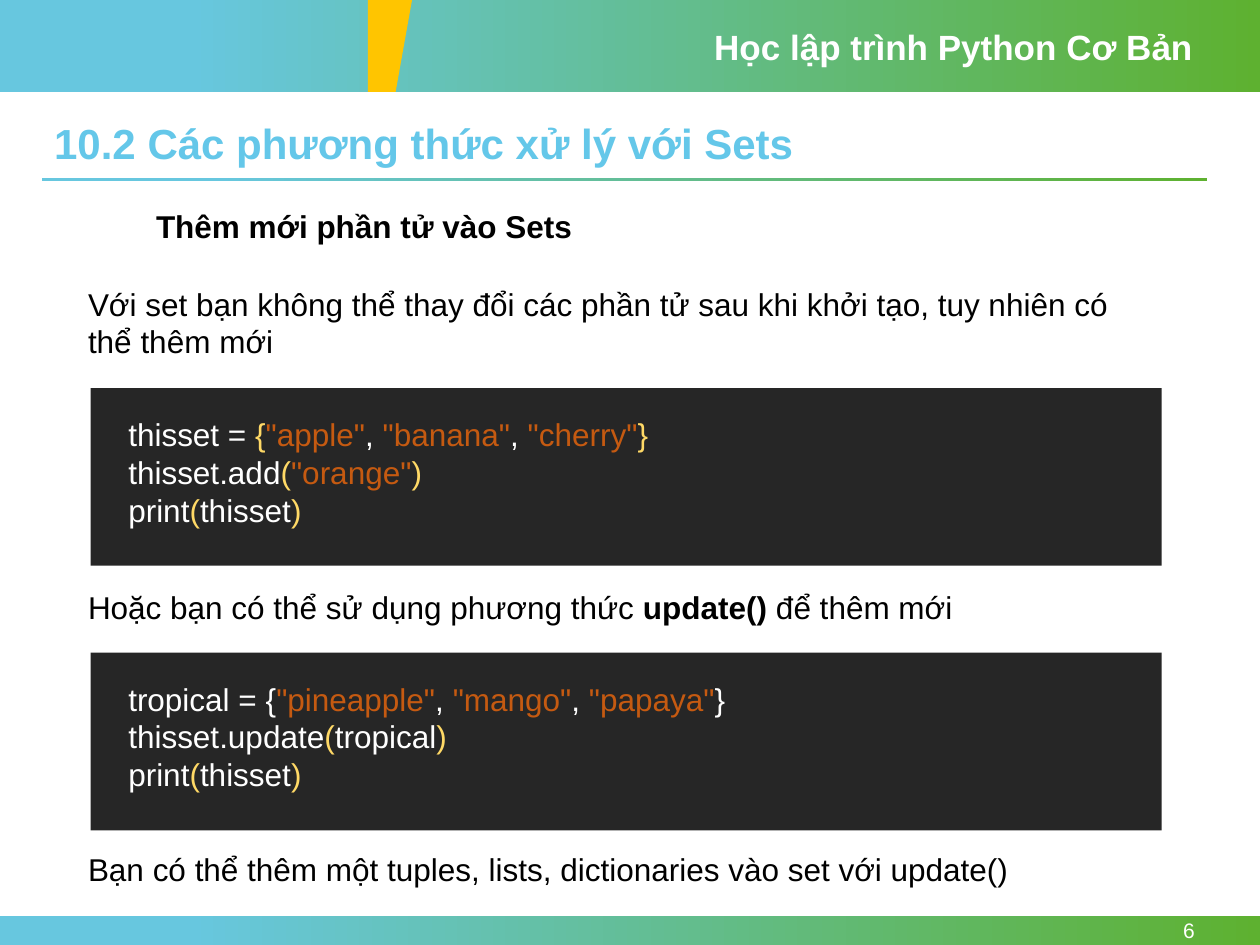
from pptx import Presentation
from pptx.dml.color import RGBColor
from pptx.enum.shapes import MSO_SHAPE
from pptx.enum.text import MSO_ANCHOR, MSO_AUTO_SIZE, PP_ALIGN
from pptx.util import Inches, Pt

HUES = {
    "sky": "67C7DF", "leaf": "5EB130", "gold": "FFC500", "head": "64C7E9",
    "dark": "262626", "white": "FFFFFF", "black": "000000",
    "mark": "FFD966", "quote": "C55A11",
}


class Deck:
    """Hold the slide and its style, and draw each kind of element."""

    font = "Arial"

    def __init__(self, slide):
        self.slide = slide

    def hue(self, name):
        return RGBColor.from_string(HUES[name])

    def style(self, run, size, hue, bold=False):
        run.font.name = self.font
        run.font.size = Pt(size)
        run.font.bold = bold
        run.font.color.rgb = self.hue(hue)

    def rect(self, *box):
        shape = self.slide.shapes.add_shape(MSO_SHAPE.RECTANGLE, *map(Inches, box))
        shape.shadow.inherit = False
        shape.line.fill.background()
        return shape

    def band(self, *box):
        fill = self.rect(*box).fill
        fill.gradient()
        fill.gradient_angle = 0
        for stop, place, name in zip(fill.gradient_stops, (0.15, 1), ("sky", "leaf")):
            stop.position = place
            stop.color.rgb = self.hue(name)

    def wedge(self, points):
        start, *rest = [(Inches(x), Inches(y)) for x, y in points]
        pen = self.slide.shapes.build_freeform(*start)
        pen.add_line_segments(rest, close=True)
        shape = pen.convert_to_shape()
        shape.shadow.inherit = False
        shape.fill.solid()
        shape.fill.fore_color.rgb = self.hue("gold")
        shape.line.fill.background()

    def title(self, text, *box):
        shape = self.slide.shapes.title
        shape.left, shape.top, shape.width, shape.height = map(Inches, box)
        frame = shape.text_frame
        frame.text = text
        frame.auto_size = MSO_AUTO_SIZE.NONE
        frame.vertical_anchor = MSO_ANCHOR.TOP
        para = frame.paragraphs[0]
        para.alignment = PP_ALIGN.LEFT
        para.line_spacing = 0.9
        self.style(para.runs[0], 24, "head", True)

    def text(self, box, lines, size=18):
        frame = self.slide.shapes.add_textbox(*map(Inches, box)).text_frame
        frame.word_wrap = True
        for i, line in enumerate(lines):
            para = frame.add_paragraph() if i else frame.paragraphs[0]
            for words, *look in line:
                run = para.add_run()
                run.text = words
                self.style(run, size, *look)
        return frame

    def note(self, top, *runs, high=0.4):
        self.text((0.6, top, 8.32, high), [runs])

    def code(self, top, lines):
        fill = self.rect(0.72, top, 8.5, 1.41).fill
        fill.solid()
        fill.fore_color.rgb = self.hue("dark")
        self.text((0.92, top + 0.165, 8.1, 1.01), lines)


def fruits(name, words, brace):
    line = [(f"{name} = ", "white"), ("{", brace)]
    for i, word in enumerate(words):
        if i:
            line.append((", ", "white"))
        line.append((f'"{word}"', "quote"))
    return line + [("}", brace)]


def call(name, value, hue="white"):
    return [(name, "white"), ("(", "mark"), (value, hue), (")", "mark")]


def main():
    prs = Presentation()
    prs.slide_width, prs.slide_height = Inches(10), Inches(7.5)
    deck = Deck(prs.slides.add_slide(prs.slide_layouts[5]))

    deck.band(0, 0, 10, 0.73)
    deck.band(0, 7.27, 10, 0.23)
    deck.band(0.33, 1.41, 9.25, 0.03)
    deck.wedge([(2.92, 0), (3.27, 0), (3.14, 0.73), (2.92, 0.73)])
    deck.text((5.57, 0.15, 4, 0.44),
              [[("Học lập trình Python Cơ Bản", "white", True)]], 20)
    page = deck.text((8.66, 7.27, 0.92, 0.23), [[("6", "white")]], 12)
    page.vertical_anchor = MSO_ANCHOR.MIDDLE
    page.paragraphs[0].alignment = PP_ALIGN.RIGHT

    deck.title("10.2 Các phương thức xử lý với Sets", 0.33, 0.93, 9.25, 0.46)
    deck.text((1.14, 1.59, 7.03, 0.4),
              [[("Thêm mới phần tử vào Sets", "black", True)]])
    deck.note(2.21, ("Với set bạn không thể thay đổi các phần tử sau khi khởi tạo, "
                     "tuy nhiên có thể thêm mới", "black"), high=0.71)
    deck.code(3.08, [
        fruits("thisset", ["apple", "banana", "cherry"], "mark"),
        call("thisset.add", '"orange"', "quote"),
        call("print", "thisset"),
    ])
    deck.note(4.62, ("Hoặc bạn có thể sử dụng phương thức ", "black"),
              ("update() ", "black", True), ("để thêm mới", "black"))
    deck.code(5.18, [
        fruits("tropical", ["pineapple", "mango", "papaya"], "white"),
        call("thisset.update", "tropical"),
        call("print", "thisset"),
    ])
    deck.note(6.7, ("Bạn có thể thêm một tuples, lists, dictionaries "
                    "vào set với update()", "black"))
    prs.save("out.pptx")


if __name__ == "__main__":
    main()
